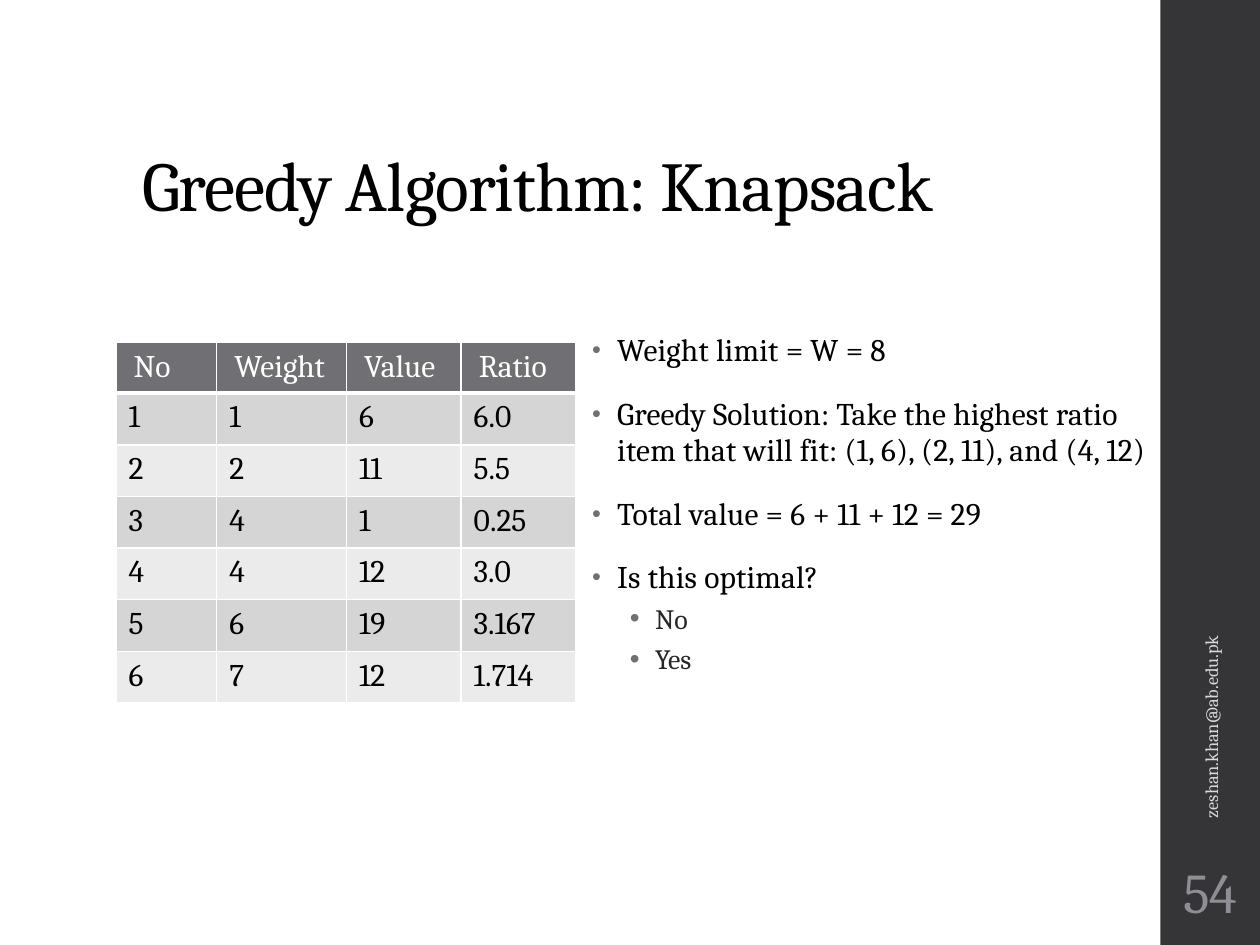
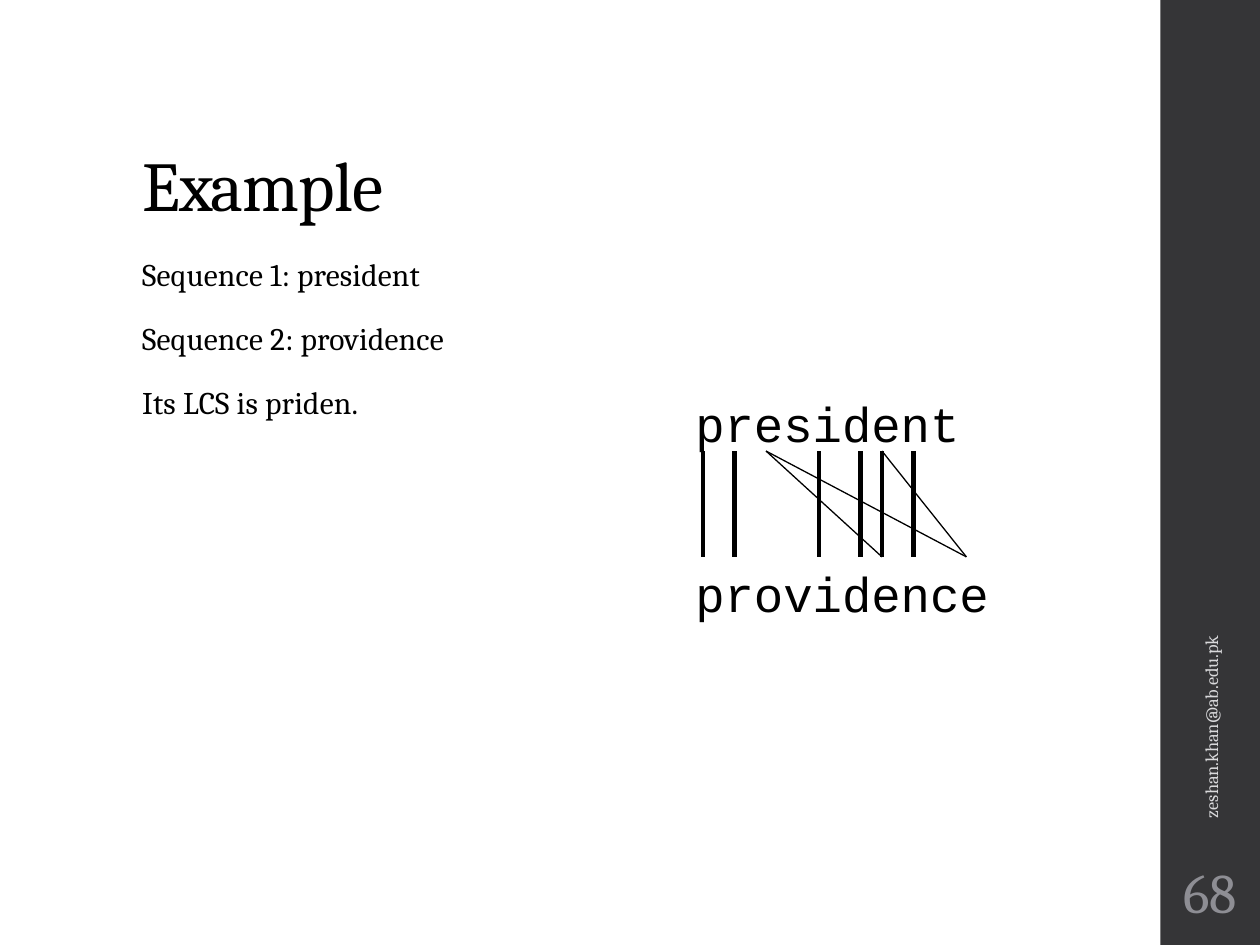
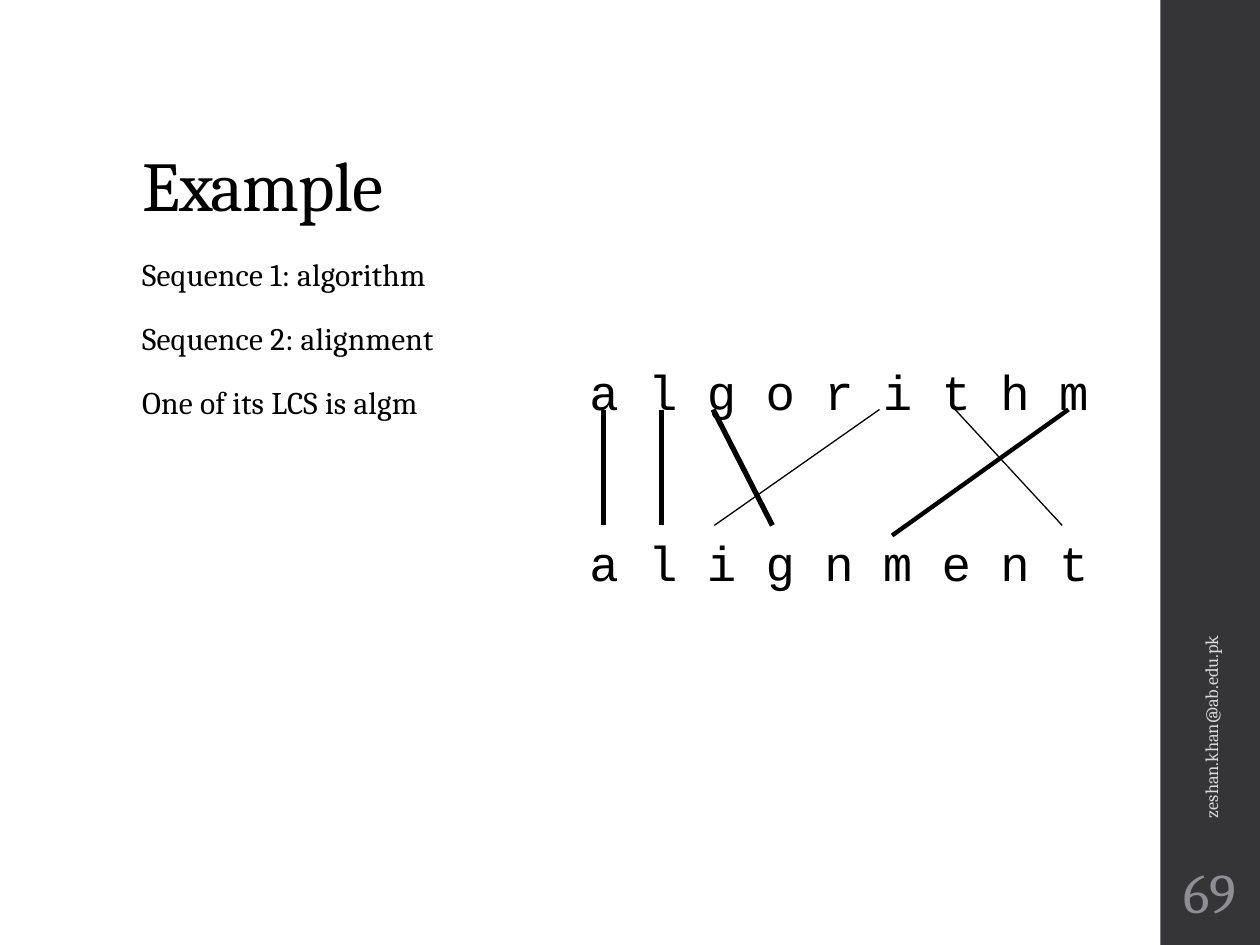
from pptx import Presentation, util as u
from pptx.dml.color import RGBColor
from pptx.enum import shapes, text
from pptx.oxml import parse_xml, ns

BLACK, WHITE, BAND, GREY = "000000", "FFFFFF", "353537", "6F6F74"
STRIPES = ["D5D5D6", "EBEBEB"]
SERIF, MONO = "Cambria", "Courier New"
THIN, BOLD, HEAVY = 0.75, 2.5, 3
FOOTER = "zeshan.khan@ab.edu.pk"
BODY_BOX = (1.03, 2, 3.67, 4.76)

TITLE = dict(size=40, color=BLACK, spc=-50, line_spacing=0.9)
ITEM = dict(size=18, color=BLACK, spc=10, line_spacing=0.95,
            space_before=14, space_after=2, indent=(0.2, -0.2))
BULLET = dict(ITEM, bullet=80)
SUB_BULLET = dict(size=16, color="262626", line_spacing=0.9, space_before=3,
                  space_after=3, indent=(0.5, -0.2), bullet=100, level=1)
WORD = dict(size=28, color=BLACK, font=MONO)
SECOND_WORD = dict(WORD, space_before=64)

KNAPSACK = dict(
    title="Greedy Algorithm: Knapsack", number=54,
    table=[("No", "Weight", "Value", "Ratio"),
           ("1", "1", "6", "6.0"),
           ("2", "2", "11", "5.5"),
           ("3", "4", "1", "0.25"),
           ("4", "4", "12", "3.0"),
           ("5", "6", "19", "3.167"),
           ("6", "7", "12", "1.714")],
    body=[("Weight limit = W = 8", BULLET),
          ("Greedy Solution: Take the highest ratio item that will fit: "
           "(1, 6), (2, 11), and (4, 12)", BULLET),
          ("Total value = 6 + 11 + 12 = 29", BULLET),
          ("Is this optimal?", BULLET),
          ("No", SUB_BULLET),
          ("Yes", SUB_BULLET)])

EXAMPLES = [
    dict(number=68,
         body=["Sequence 1: president", "Sequence 2: providence",
               "Its LCS is priden."],
         words=["president", "providence"], box=(5.42, 3, 2.83, 1.97),
         top=3.58, bottom=4.42,
         links=[(5.58, 5.58, BOLD), (5.83, 5.83, BOLD), (6.08, 7, THIN),
                (6.08, 7.67, THIN), (6.5, 6.5, BOLD), (6.83, 6.83, BOLD),
                (7, 7, BOLD), (7, 7.67, THIN), (7.25, 7.25, BOLD)]),
    dict(number=69,
         body=["Sequence 1: algorithm", "Sequence 2: alignment",
               "One of its LCS is algm"],
         words=["a l g o r i t h m", "a l i g n m e n t"],
         box=(4.58, 2.75, 5.42, 1.97), top=3.25, bottom=4.17,
         links=[(4.79, 4.79, BOLD), (5.25, 5.25, BOLD), (5.66, 6.13, HEAVY),
                (6.98, 5.67, THIN), (7.58, 8.43, THIN),
                (8.48, 7.08, BOLD, 4.25)]),
]


def rgb(value):
    return RGBColor.from_string(value)


def inches(*values):
    return [u.Inches(v) for v in values]


def xml(body):
    head, rest = body.split(" ", 1)
    return parse_xml(f"{head} {ns.nsdecls('a')} {rest}")


def write(p, words, size, color, font=SERIF, spc=0, indent=None, bullet=None,
          **para):
    for name, value in para.items():
        if name.startswith("space_"):
            value = u.Pt(value)
        setattr(p, name, value)
    r = p.add_run()
    r.text = words
    for name, value in dict(size=u.Pt(size), name=font).items():
        setattr(r.font, name, value)
    r.font.color.rgb = rgb(color)
    if spc:
        r.font._element.set("spc", str(spc))
    pPr = p._p.get_or_add_pPr()
    if indent:
        for name, value in zip(("marL", "indent"), inches(*indent)):
            pPr.set(name, str(value))
    if bullet:
        for part in (f'<a:buClr ><a:srgbClr val="{GREY}"/></a:buClr>',
                     f'<a:buSzPct val="{bullet * 1000}"/>',
                     '<a:buFont typeface="Arial"/>',
                     '<a:buChar char="\u2022"/>'):
            pPr.append(xml(part))


def add_text(s, box, items, **frame):
    sp = s.shapes.add_textbox(*inches(*box))
    tf = sp.text_frame
    for name, value in dict(word_wrap=True, **frame).items():
        setattr(tf, name, value)
    for i, (words, style) in enumerate(items):
        write(tf.add_paragraph() if i else tf.paragraphs[0], words, **style)
    return sp


def add_slide(title, number):
    s = prs.slides.add_slide(prs.slide_layouts[6])
    band = s.shapes.add_shape(shapes.MSO_SHAPE.RECTANGLE,
                              *inches(9.21, 0, 0.8, 7.5))
    band.shadow.inherit = False
    band.fill.solid()
    band.fill.fore_color.rgb = rgb(BAND)
    band.line.fill.background()
    add_text(s, (1.03, 0.4, 7.95, 1.45), [(title, TITLE)],
             vertical_anchor=text.MSO_ANCHOR.BOTTOM)
    middle = text.MSO_ANCHOR.MIDDLE
    footer = add_text(s, (7.65, 4.48, 3.92, 0.3),
                      [(FOOTER, dict(size=10.5, color="D9D9DB"))],
                      vertical_anchor=middle)
    footer.rotation = 270
    add_text(s, (9.23, 6.75, 0.75, 0.65),
             [(str(number), dict(size=32, color="8E8E94",
                                 alignment=text.PP_ALIGN.CENTER))],
             vertical_anchor=middle, margin_left=u.Inches(0.03),
             margin_right=u.Inches(0.03))
    return s


def add_table(s, rows, widths, heights):
    table = s.shapes.add_table(len(rows), len(widths), *inches(
        0.92, 2.72, sum(widths), sum(heights))).table
    for col, width in zip(table.columns, inches(*widths)):
        col.width = width
    for i, (row, height) in enumerate(zip(rows, inches(*heights))):
        table.rows[i].height = height
        for j, words in enumerate(row):
            cell = table.cell(i, j)
            header = i == 0
            write(cell.text_frame.paragraphs[0], words, size=18,
                  color=WHITE if header else BLACK)
            cell.margin_left = cell.margin_right = u.Inches(
                0.14 if header else 0.1)
            cell.fill.solid()
            cell.fill.fore_color.rgb = rgb(
                GREY if header else STRIPES[(i - 1) % 2])
            tcPr = cell._tc.get_or_add_tcPr()
            for k, side in enumerate(("lnL", "lnR", "lnT", "lnB")):
                thick = (header and side == "lnB") or (i == 1 and side == "lnT")
                tcPr.insert(k, xml(
                    f'<a:{side} w="{u.Pt(3 if thick else 1)}"><a:solidFill>'
                    f'<a:srgbClr val="{WHITE}"/></a:solidFill></a:{side}>'))


def add_link(s, x1, y1, x2, y2, width):
    line = s.shapes.add_connector(shapes.MSO_CONNECTOR.STRAIGHT,
                                  *inches(x1, y1, x2, y2))
    line.line.color.rgb = rgb(BLACK)
    line.line.width = u.Pt(width)
    line._element.spPr.append(xml("<a:effectLst />"))


prs = Presentation()
prs.slide_width, prs.slide_height = inches(10, 7.5)

s = add_slide(KNAPSACK["title"], KNAPSACK["number"])
add_table(s, KNAPSACK["table"], [0.8, 1.03, 0.91, 0.91], [0.21] + [0.41] * 6)
add_text(s, (4.6, 2.59, 4.65, 3.77), KNAPSACK["body"])

for ex in EXAMPLES:
    s = add_slide("Example", ex["number"])
    add_text(s, BODY_BOX, [(words, ITEM) for words in ex["body"]])
    add_text(s, ex["box"], zip(ex["words"], (WORD, SECOND_WORD)),
             margin_top=u.Inches(0.12))
    for x1, x2, width, *end in ex["links"]:
        add_link(s, x1, ex["top"], x2, end[0] if end else ex["bottom"], width)

prs.save("out.pptx")
